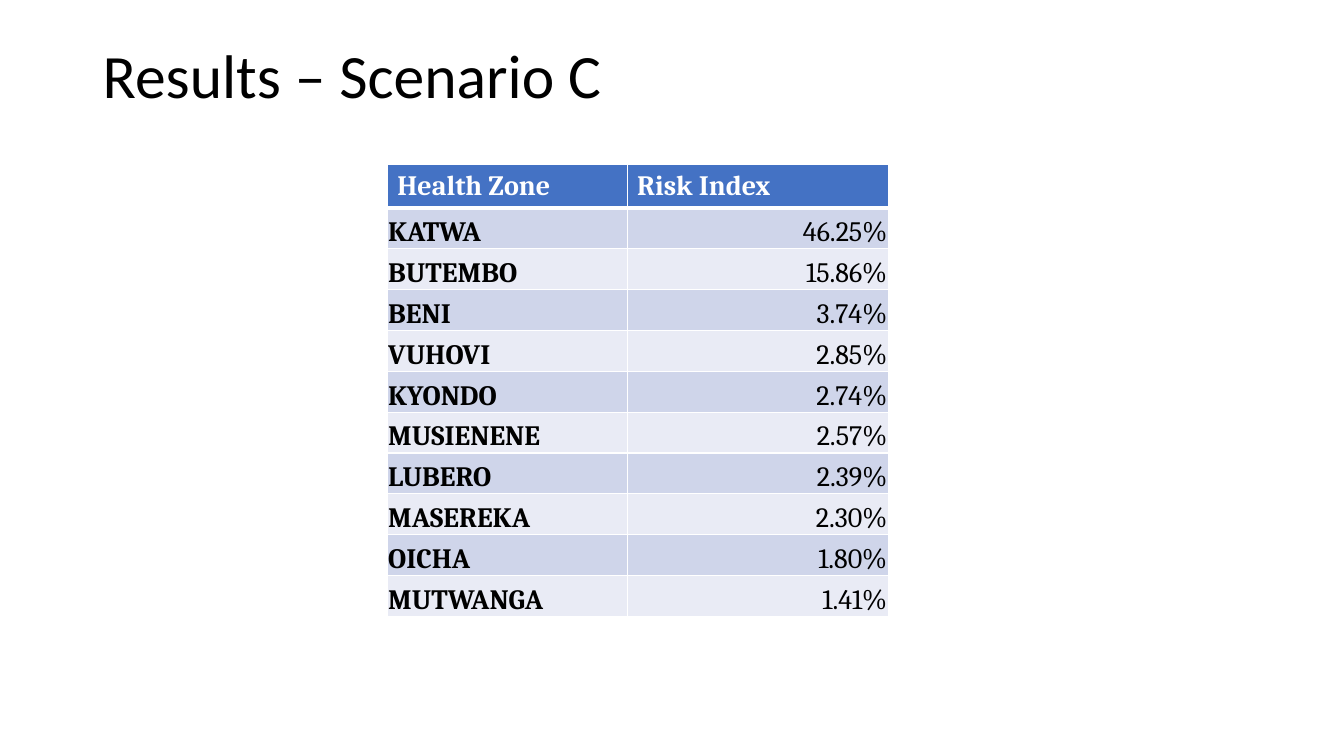
from lxml.etree import SubElement
from pptx import Presentation
from pptx.dml.color import RGBColor
from pptx.enum.text import MSO_ANCHOR as Anchor, PP_ALIGN as Align
from pptx.oxml.ns import qn
from pptx.util import Inches, Pt

BLACK = RGBColor(0x00, 0x00, 0x00)
WHITE = RGBColor(0xFF, 0xFF, 0xFF)
HEADER_BLUE = RGBColor(0x44, 0x72, 0xC4)
BANDS = (RGBColor(0xCF, 0xD5, 0xEA), RGBColor(0xE9, 0xEB, 0xF5))

TITLE_BOX = (0.92, 0.4, 11.5, 1.45)
TABLE_LEFT, TABLE_TOP, TABLE_HEIGHT = 3.84, 1.63, 4.46
COLUMN_WIDTHS = (2.38, 2.59)

HEADINGS = ("Health Zone", "Risk Index")
RISK_INDEX = {
    "KATWA": 46.25,
    "BUTEMBO": 15.86,
    "BENI": 3.74,
    "VUHOVI": 2.85,
    "KYONDO": 2.74,
    "MUSIENENE": 2.57,
    "LUBERO": 2.39,
    "MASEREKA": 2.30,
    "OICHA": 1.80,
    "MUTWANGA": 1.41,
}

TITLE_FONT = {"name": "Calibri", "size": Pt(44)}
TABLE_FONT = {"name": "Cambria", "size": Pt(20)}
HEADER_CELL = {"vertical_anchor": Anchor.MIDDLE}
BODY_CELL = {
    "vertical_anchor": Anchor.BOTTOM,
    "margin_left": Inches(0.01),
    "margin_right": Inches(0.01),
    "margin_top": Inches(0.01),
    "margin_bottom": 0,
}


def set_values(target, values):
    for name, value in values.items():
        setattr(target, name, value)


def write(paragraph, text, color, font, alignment=Align.LEFT):
    paragraph.alignment = alignment
    run = paragraph.add_run()
    run.text = text
    set_values(run.font, font)
    run.font.color.rgb = color


def add_title(slide, text):
    frame = slide.shapes.add_textbox(*map(Inches, TITLE_BOX)).text_frame
    set_values(frame, {"word_wrap": True, "vertical_anchor": Anchor.TOP})
    paragraph = frame.paragraphs[0]
    paragraph.line_spacing = 0.9
    write(paragraph, text, BLACK, TITLE_FONT)


def add_borders(cell, top=1, bottom=1):
    properties = cell._tc.get_or_add_tcPr()
    for side, width in {"L": 1, "R": 1, "T": top, "B": bottom}.items():
        line = SubElement(properties, qn(f"a:ln{side}"), w=str(Pt(width)))
        fill = SubElement(line, qn("a:solidFill"))
        SubElement(fill, qn("a:srgbClr"), val=str(WHITE))


def format_cell(cell, values, fill, **borders):
    set_values(cell, values)
    add_borders(cell, **borders)
    cell.fill.solid()
    cell.fill.fore_color.rgb = fill


def add_risk_table(slide):
    row_count = len(RISK_INDEX) + 1
    box = (TABLE_LEFT, TABLE_TOP, sum(COLUMN_WIDTHS), TABLE_HEIGHT)
    table = slide.shapes.add_table(
        row_count, len(HEADINGS), *map(Inches, box)
    ).table
    for column, width in zip(table.columns, COLUMN_WIDTHS):
        column.width = Inches(width)

    for column, heading in enumerate(HEADINGS):
        cell = table.cell(0, column)
        format_cell(cell, HEADER_CELL, HEADER_BLUE, bottom=3)
        write(cell.text_frame.paragraphs[0], heading, WHITE,
              {**TABLE_FONT, "bold": True})

    for row, (zone, risk) in enumerate(RISK_INDEX.items(), start=1):
        entries = ((zone, True, Align.LEFT), (f"{risk:.2f}%", False, Align.RIGHT))
        for column, (text, bold, alignment) in enumerate(entries):
            cell = table.cell(row, column)
            format_cell(cell, BODY_CELL, BANDS[(row - 1) % 2],
                        top=3 if row == 1 else 1)
            write(cell.text_frame.paragraphs[0], text, BLACK,
                  {**TABLE_FONT, "bold": bold}, alignment)


def main():
    presentation = Presentation()
    set_values(presentation, {"slide_width": Inches(13.33),
                              "slide_height": Inches(7.5)})
    slide = presentation.slides.add_slide(presentation.slide_layouts[6])
    add_title(slide, "Results – Scenario C")
    add_risk_table(slide)
    presentation.save("out.pptx")


if __name__ == "__main__":
    main()
